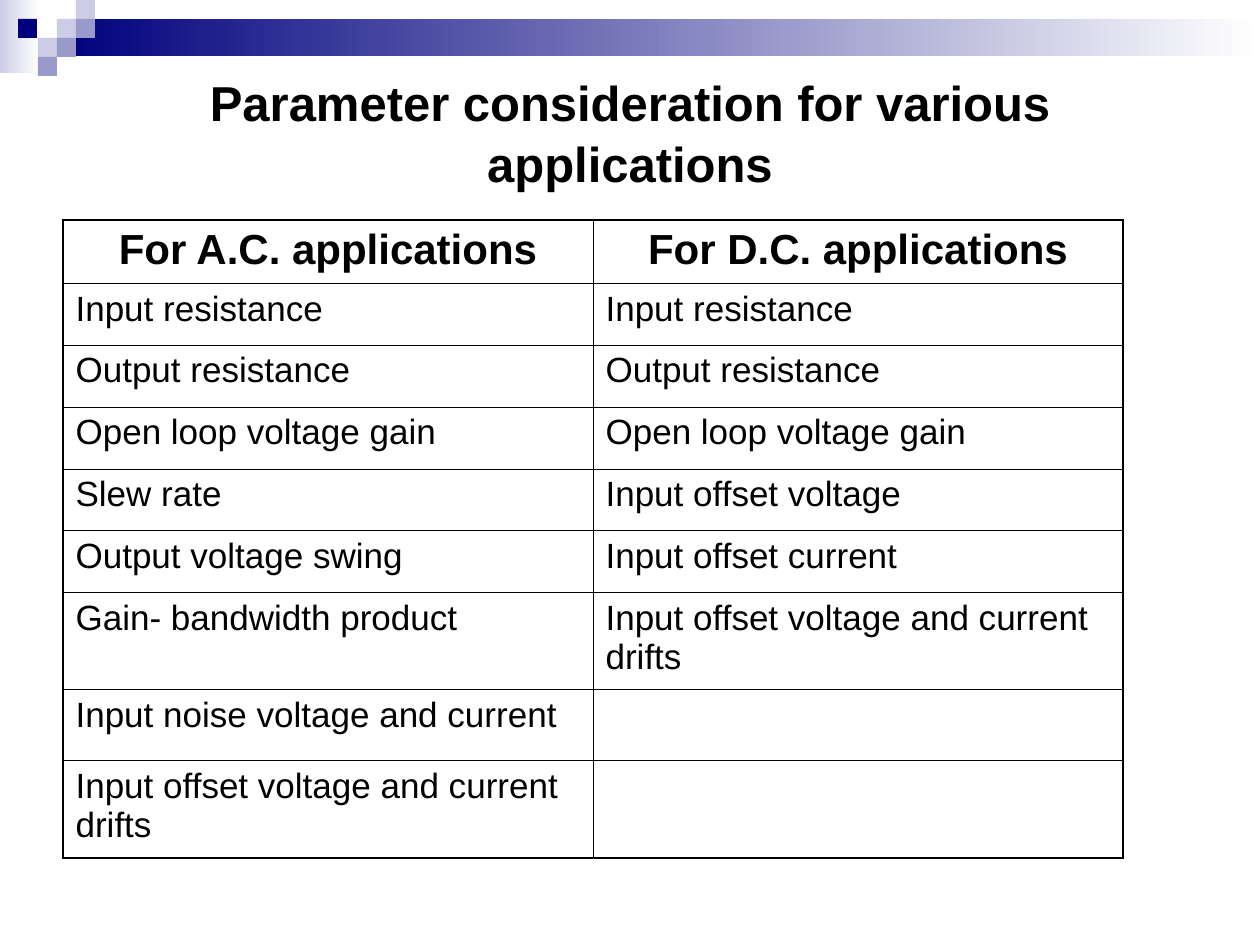
from typing import NamedTuple, Optional

from pptx import Presentation
from pptx.dml.color import RGBColor
from pptx.enum.shapes import MSO_SHAPE as Shape
from pptx.enum.text import MSO_ANCHOR as Anchor, MSO_AUTO_SIZE as AutoSize, PP_ALIGN as Align
from pptx.oxml.ns import qn
from pptx.util import Pt
from lxml.etree import SubElement

SCALE = 914400 / 126  # EMU per px
BLACK, WHITE = "000000", "FFFFFF"
NAVY, PERIWINKLE, LAVENDER = "00007D", "9999CC", "CCCCE6"
OUTER, INNER = 1.08, 0.45  # border widths in points


class Block(NamedTuple):
    x: int
    y: int
    w: int
    h: int
    color: str
    fade_to: Optional[str] = None


SQ = 19
BLOCKS = [
    Block(0, 0, 39, 73, LAVENDER, WHITE),
    Block(57, 19, 1203, 37, NAVY, WHITE),
    Block(57, 19, SQ, SQ, LAVENDER),
    Block(76, 0, SQ, SQ, LAVENDER),
    Block(76, 19, SQ, SQ, PERIWINKLE),
    Block(38, 38, SQ, SQ, LAVENDER),
    Block(18, 19, SQ, SQ, NAVY),
    Block(57, 38, SQ, SQ, PERIWINKLE),
    Block(38, 57, SQ, SQ, PERIWINKLE),
]

TITLE = "Parameter consideration for various applications"
ROWS = [
    ("For A.C. applications", "For D.C. applications"),
    ("Input resistance", "Input resistance"),
    ("Output resistance", "Output resistance"),
    ("Open loop voltage gain", "Open loop voltage gain"),
    ("Slew rate", "Input offset voltage"),
    ("Output voltage swing", "Input offset current"),
    ("Gain- bandwidth product", "Input offset voltage and current drifts"),
    ("Input noise voltage and current", ""),
    ("Input offset voltage and current drifts", ""),
]
ROW_HEIGHTS = [63, 62, 62, 62, 62, 62, 97, 71, 97]
COL_WIDTH = 530


def px(n: int) -> int:
    return round(n * SCALE)


def rgb(color: str) -> RGBColor:
    return RGBColor.from_string(color)


def draw_block(slide, b: Block) -> None:
    sp = slide.shapes.add_shape(Shape.RECTANGLE, px(b.x), px(b.y), px(b.w), px(b.h))
    sp.shadow.inherit = False
    sp.line.fill.background()
    if b.fade_to:
        sp.fill.gradient()
        sp.fill.gradient_angle = 0
        for stop, color in zip(sp.fill.gradient_stops, (b.color, b.fade_to)):
            stop.color.rgb = rgb(color)
    else:
        sp.fill.solid()
        sp.fill.fore_color.rgb = rgb(b.color)


def write(tf, text: str, size: int, bold: bool, align: Align) -> None:
    tf.text = text
    p = tf.paragraphs[0]
    p.alignment = align
    for r in p.runs:
        r.font.name, r.font.size, r.font.bold = "Arial", Pt(size), bold
        r.font.color.rgb = rgb(BLACK)


def set_border(cell, side: str, width: float) -> None:
    ln = SubElement(cell._tc.get_or_add_tcPr(), qn(f"a:ln{side}"), w=str(Pt(width)))
    fill = SubElement(ln, qn("a:solidFill"))
    SubElement(fill, qn("a:srgbClr"), val=BLACK)


def draw_title(slide) -> None:
    title = slide.shapes.title
    title.left, title.top, title.width, title.height = px(63), px(63), px(1134), px(136)
    tf = title.text_frame
    write(tf, TITLE, 28, True, Align.CENTER)
    tf.word_wrap = True
    tf.auto_size = AutoSize.NONE
    tf.vertical_anchor = Anchor.MIDDLE
    tf.paragraphs[0].line_spacing = 1.05


def draw_table(slide) -> None:
    n_rows, n_cols = len(ROWS), len(ROWS[0])
    table = slide.shapes.add_table(n_rows, n_cols, px(63), px(220),
                                   px(COL_WIDTH * n_cols), px(sum(ROW_HEIGHTS))).table
    table.first_row = table.horz_banding = False
    for col in table.columns:
        col.width = px(COL_WIDTH)
    for i, (texts, height) in enumerate(zip(ROWS, ROW_HEIGHTS)):
        table.rows[i].height = px(height)
        header = i == 0
        for j, text in enumerate(texts):
            cell = table.cell(i, j)
            if text:
                write(cell.text_frame, text, 24 if header else 20, header,
                      Align.CENTER if header else Align.LEFT)
            # The frame of the table is heavier than its inner lines
            on_edge = {"L": j == 0, "R": j == n_cols - 1, "T": header, "B": i == n_rows - 1}
            for side, outer in on_edge.items():
                set_border(cell, side, OUTER if outer else INNER)
            cell.fill.background()


def main() -> None:
    prs = Presentation()
    prs.slide_width, prs.slide_height = px(1260), px(945)
    slide = prs.slides.add_slide(prs.slide_layouts[5])  # title only

    # Header band and squares
    for block in BLOCKS:
        draw_block(slide, block)

    # Content
    draw_title(slide)
    draw_table(slide)
    prs.save("out.pptx")


if __name__ == "__main__":
    main()
